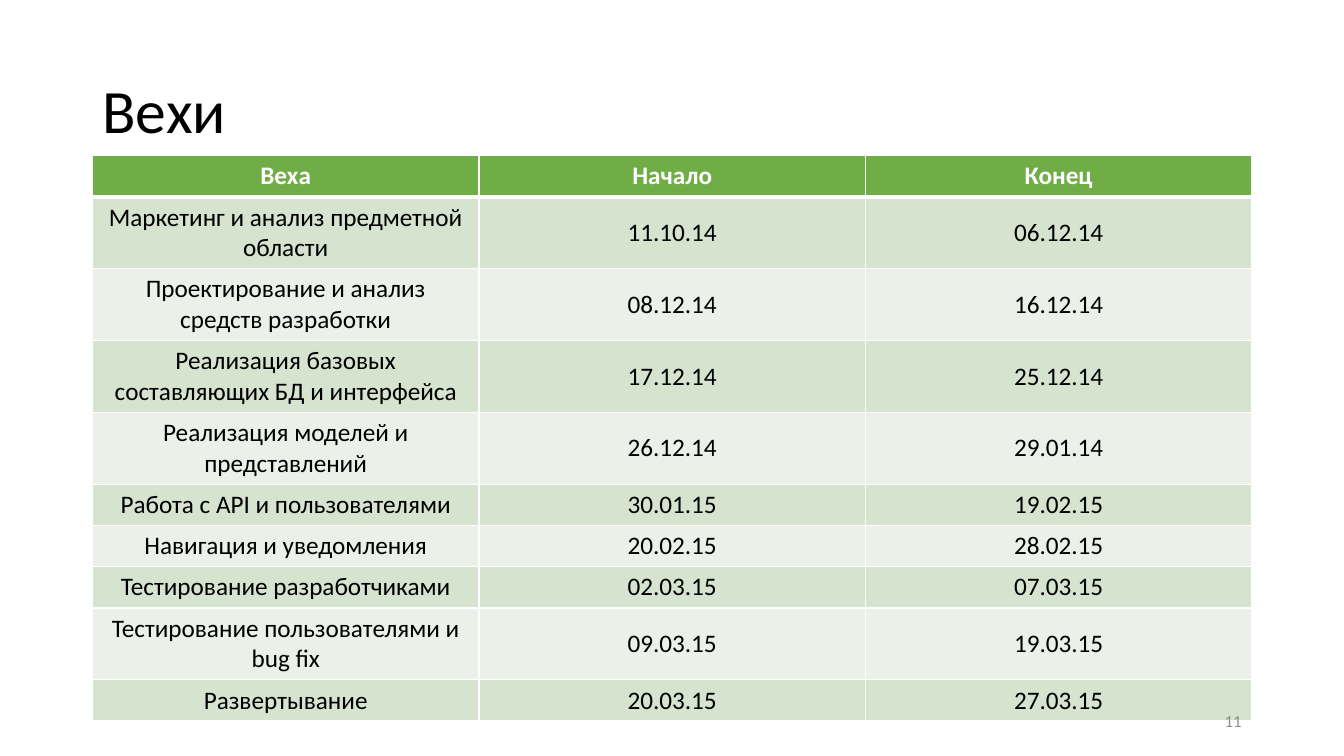
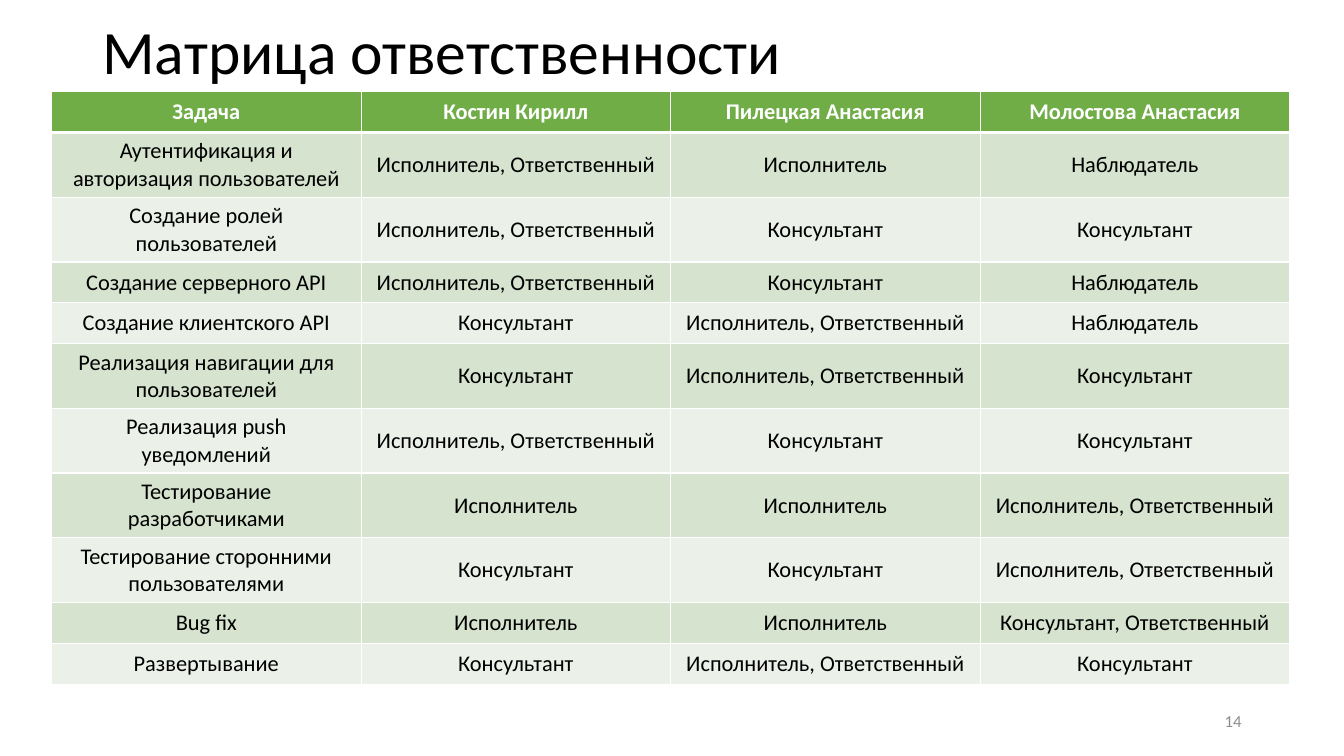
from lxml import etree
from pptx import Presentation
from pptx import util as u
from pptx.dml import color as dc
from pptx.enum import text as t
from pptx.oxml import ns

HUES = {"ink": "000000", "paper": "FFFFFF", "head": "70AD47",
        "odd": "D5E3CF", "even": "EBF1E9", "page": "8C8C8C"}
FACE = "Calibri"
LEFT, RIGHT = t.PP_ALIGN.LEFT, t.PP_ALIGN.RIGHT
MID = t.PP_ALIGN.CENTER

DATES = [
    ("Веха", "Начало", "Конец"),
    ("Маркетинг и анализ предметной области", "11.10.14", "06.12.14"),
    ("Проектирование и анализ средств разработки", "08.12.14", "16.12.14"),
    ("Реализация базовых составляющих БД и интерфейса", "17.12.14", "25.12.14"),
    ("Реализация моделей и представлений", "26.12.14", "29.01.14"),
    ("Работа с API и пользователями", "30.01.15", "19.02.15"),
    ("Навигация и уведомления", "20.02.15", "28.02.15"),
    ("Тестирование разработчиками", "02.03.15", "07.03.15"),
    ("Тестирование пользователями и bug fix", "09.03.15", "19.03.15"),
    ("Развертывание", "20.03.15", "27.03.15"),
]

DOER, AIDE, VIEW = "Исполнитель", "Консультант", "Наблюдатель"
LEAD = "Исполнитель, Ответственный"
ROLES = [
    ("Задача", "Костин Кирилл", "Пилецкая Анастасия", "Молостова Анастасия"),
    ("Аутентификация и авторизация пользователей", LEAD, DOER, VIEW),
    ("Создание ролей пользователей", LEAD, AIDE, AIDE),
    ("Создание серверного API", LEAD, AIDE, VIEW),
    ("Создание клиентского API", AIDE, LEAD, VIEW),
    ("Реализация навигации для пользователей", AIDE, LEAD, AIDE),
    ("Реализация push уведомлений", LEAD, AIDE, AIDE),
    ("Тестирование разработчиками", DOER, DOER, LEAD),
    ("Тестирование сторонними пользователями", AIDE, AIDE, LEAD),
    ("Bug fix", DOER, DOER, "Консультант, Ответственный"),
    ("Развертывание", AIDE, LEAD, AIDE),
]


def tint(name):
    return dc.RGBColor.from_string(HUES[name])


class Deck:
    def __init__(self):
        self.prs = Presentation()
        self.prs.slide_width, self.prs.slide_height = u.Cm(33.87), u.Cm(19.05)
        self.slide = None

    def page(self):
        self.slide = self.prs.slides.add_slide(self.prs.slide_layouts[6])

    def style(self, para, size, hue, align, bold=False):
        para.alignment = align
        look = {"name": FACE, "size": u.Pt(size), "bold": bold}
        for key, val in look.items():
            setattr(para.font, key, val)
        para.font.color.rgb = tint(hue)

    def label(self, words, box, size, hue, align):
        frame = self.slide.shapes.add_textbox(*map(u.Cm, box)).text_frame
        look = {"word_wrap": True, "vertical_anchor": t.MSO_ANCHOR.MIDDLE,
                "margin_top": 0, "margin_bottom": 0, "text": words}
        for key, val in look.items():
            setattr(frame, key, val)
        self.style(frame.paragraphs[0], size, hue, align)
        return frame.paragraphs[0]

    def title(self, words, top, high):
        self.label(words, (2.33, top, 29.21, high), 44, "ink", LEFT).line_spacing = 0.9

    def number(self, num):
        self.label(str(num), (23.92, 17.66, 7.62, 1.01), 12, "page", RIGHT)

    def edges(self, cell, base):
        props = cell._tc.get_or_add_tcPr()
        for side, wide in {"L": 1, "R": 1, "T": 1, "B": base}.items():
            line = etree.SubElement(props, ns.qn("a:ln" + side), w=str(u.Pt(wide)))
            fill = etree.SubElement(line, ns.qn("a:solidFill"))
            etree.SubElement(fill, ns.qn("a:srgbClr"), val=HUES["paper"])

    def cell(self, cell, words, row, size):
        head = row == 0
        cell.text = words
        cell.vertical_anchor = t.MSO_ANCHOR.MIDDLE
        self.style(cell.text_frame.paragraphs[0], size,
                   "paper" if head else "ink", MID, head)
        self.edges(cell, 3 if head else 1)
        cell.fill.solid()
        cell.fill.fore_color.rgb = tint("head" if head else ("even", "odd")[row % 2])

    def table(self, data, left, top, wide, size, low, tall, wraps):
        highs = [tall if row in wraps else low for row in range(len(data))]
        count = len(data[0])
        grid = self.slide.shapes.add_table(
            len(data), count, u.Cm(left), u.Cm(top),
            u.Cm(wide * count), u.Cm(sum(highs))).table
        grid.horz_banding = False
        for col in grid.columns:
            col.width = u.Cm(wide)
        for row, (line, high) in enumerate(zip(data, highs)):
            grid.rows[row].height = u.Cm(high)
            for col, words in enumerate(line):
                self.cell(grid.cell(row, col), words, row, size)


def main():
    deck = Deck()
    deck.page()
    deck.title("Вехи", 1.01, 3.68)
    deck.table(DATES, 2.33, 3.92, 9.74, 18, 1.04, 1.81, {1, 2, 3, 4, 8})
    deck.number(11)
    deck.page()
    deck.title("Матрица ответственности", 0.46, 1.83)
    deck.table(ROLES, 1.3, 2.31, 7.8, 16, 1.03, 1.63, {1, 2, 5, 6, 7, 8})
    deck.number(14)
    deck.prs.save("out.pptx")


if __name__ == "__main__":
    main()
